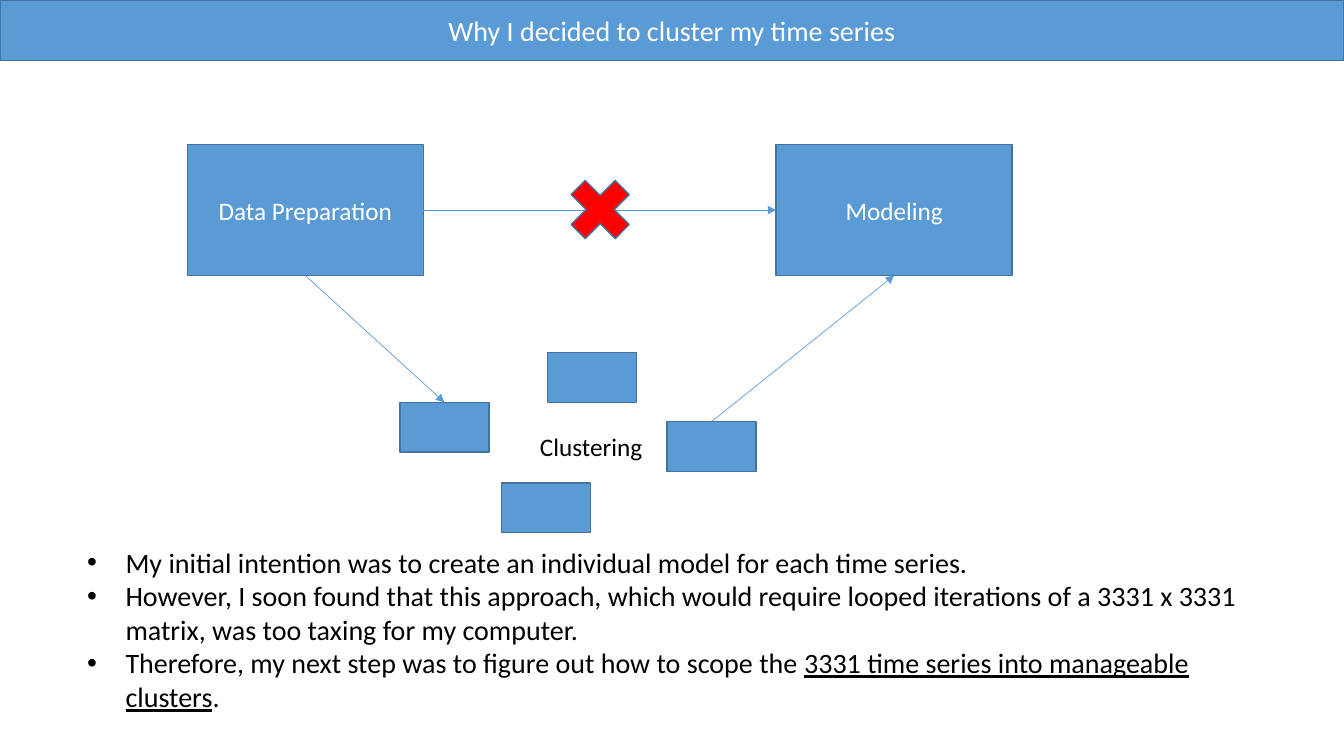
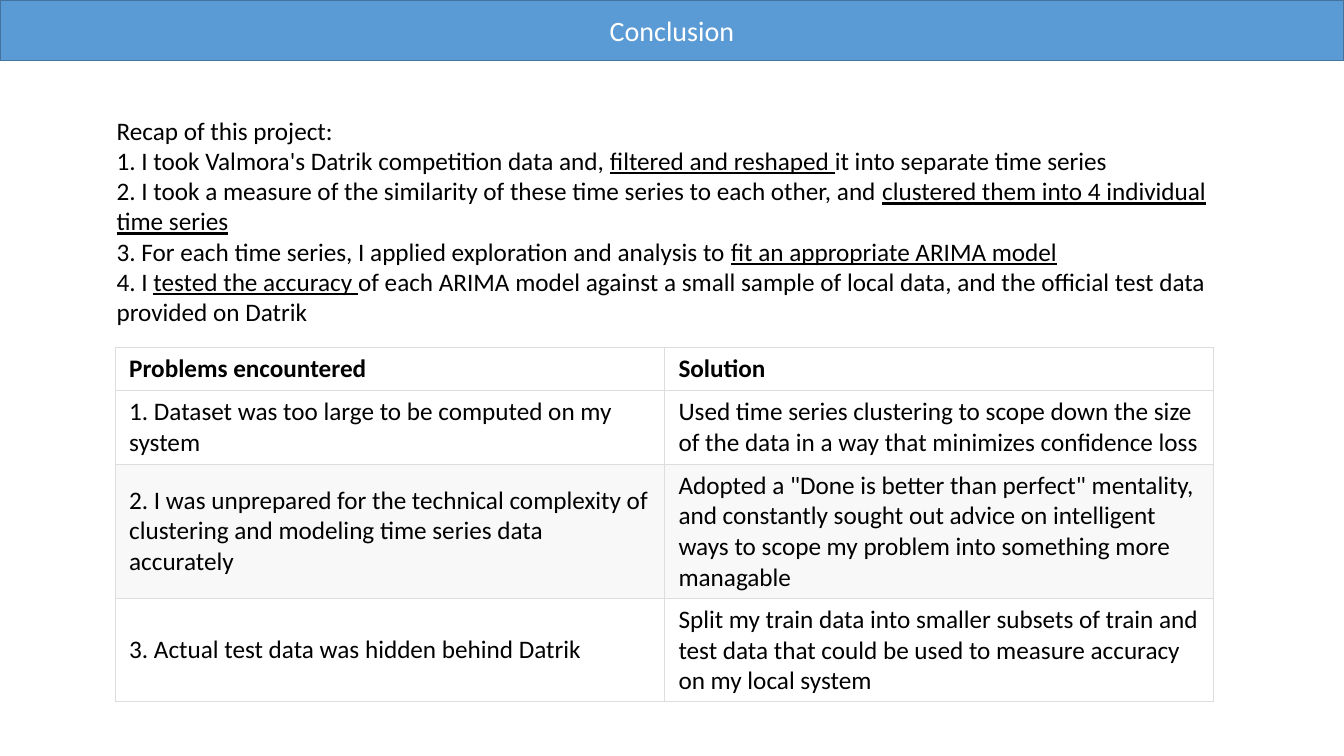
from lxml.etree import SubElement
from pptx import Presentation
from pptx.dml.color import RGBColor
from pptx.enum.shapes import MSO_CONNECTOR, MSO_SHAPE
from pptx.enum.text import MSO_ANCHOR, MSO_AUTO_SIZE, PP_ALIGN
from pptx.oxml.ns import qn
from pptx.util import Inches, Pt

BLUE = RGBColor(0x5B, 0x9B, 0xD5)
EDGE = RGBColor(0x43, 0x73, 0x9E)
RED = RGBColor(0xFF, 0x00, 0x00)
WHITE = RGBColor(0xFF, 0xFF, 0xFF)
BLACK = RGBColor(0x00, 0x00, 0x00)
STRIPE = RGBColor(0xF8, 0xF8, 0xF8)
RULE = RGBColor(0xDD, 0xDD, 0xDD)

COLS, ROWS = 160, 90
TOP, LEFT, BOTTOM, RIGHT = range(4)


def apply(target, values):
    for name, value in values.items():
        setattr(target, name, value)


class Deck:
    font = "Calibri"
    banner_rows = 7.2
    centred = {"alignment": PP_ALIGN.CENTER, "line_spacing": 1.0, "space_before": Pt(0)}
    cell_format = {
        "vertical_anchor": MSO_ANCHOR.MIDDLE,
        "margin_left": Inches(0.14), "margin_right": Inches(0.14),
        "margin_top": Inches(0.06), "margin_bottom": Inches(0.06),
    }

    def __init__(self):
        self.prs = Presentation()
        apply(self.prs, {"slide_width": Inches(13.33), "slide_height": Inches(7.5)})
        self.s = None

    def x(self, cols):
        return round(self.prs.slide_width * cols / COLS)

    def y(self, rows):
        return round(self.prs.slide_height * rows / ROWS)

    def box(self, left, top, width, height):
        return self.x(left), self.y(top), self.x(width), self.y(height)

    def paint(self, sp, fill):
        sp.fill.solid()
        sp.fill.fore_color.rgb = fill
        sp.line.color.rgb = EDGE
        sp.line.width = Pt(1)

    def fill_text(self, tf, lines, size, color, bold=False, para=None, bullet=False):
        for i, line in enumerate(lines):
            p = tf.add_paragraph() if i else tf.paragraphs[0]
            apply(p, para or {})
            if bullet:
                self.bullet(p)
            for j, part in enumerate(line.split("_")):
                if not part:
                    continue
                r = p.add_run()
                r.text = part
                apply(r.font, {"name": self.font, "size": Pt(size),
                               "bold": bold, "underline": j % 2 == 1})
                r.font.color.rgb = color

    def bullet(self, p):
        pPr = p._p.get_or_add_pPr()
        indent = Inches(0.38)
        pPr.set("marL", str(indent))
        pPr.set("indent", str(-indent))
        SubElement(pPr, qn("a:buFont")).set("typeface", "Arial")
        SubElement(pPr, qn("a:buChar")).set("char", "•")

    def slide(self, title):
        self.s = self.prs.slides.add_slide(self.prs.slide_layouts[5])
        sp = self.s.shapes.title
        left, top, width, height = self.box(0, 0, COLS, self.banner_rows)
        apply(sp, {"left": left, "top": top, "width": width, "height": height})
        self.paint(sp, BLUE)
        apply(sp.text_frame, {"vertical_anchor": MSO_ANCHOR.MIDDLE,
                              "auto_size": MSO_AUTO_SIZE.NONE})
        self.fill_text(sp.text_frame, [title], 20, WHITE, para=self.centred)

    def shape(self, place, label="", kind=MSO_SHAPE.RECTANGLE, fill=BLUE):
        sp = self.s.shapes.add_shape(kind, *self.box(*place))
        sp.shadow.inherit = False
        self.paint(sp, fill)
        if label:
            sp.text_frame.vertical_anchor = MSO_ANCHOR.MIDDLE
            self.fill_text(sp.text_frame, [label], 18, WHITE, para=self.centred)
        return sp

    def text(self, place, lines, size=18, wrap=True, bullet=False):
        tf = self.s.shapes.add_textbox(*self.box(*place)).text_frame
        apply(tf, {"word_wrap": wrap, "auto_size": MSO_AUTO_SIZE.SHAPE_TO_FIT_TEXT})
        self.fill_text(tf, lines, size, BLACK, bullet=bullet)

    def arrow(self, start, start_site, end, end_site):
        cx = self.s.shapes.add_connector(MSO_CONNECTOR.STRAIGHT, 0, 0, 0, 0)
        cx.begin_connect(start, start_site)
        cx.end_connect(end, end_site)
        cx.line.color.rgb = BLUE
        cx.line.width = Pt(0.5)
        SubElement(cx.get_or_add_ln(), qn("a:tailEnd")).set("type", "triangle")
        SubElement(cx._element.spPr, qn("a:effectLst"))

    def borders(self, cell):
        tcPr = cell._tc.get_or_add_tcPr()
        for i, side in enumerate(("lnL", "lnR", "lnT", "lnB")):
            ln = tcPr.makeelement(qn(f"a:{side}"), {"w": str(Pt(0.75))})
            fill = SubElement(ln, qn("a:solidFill"))
            SubElement(fill, qn("a:srgbClr")).set("val", str(RULE))
            tcPr.insert(i, ln)

    def table(self, left, top, width, heights, rows):
        frame = self.s.shapes.add_table(len(rows), len(rows[0]),
                                        *self.box(left, top, width, sum(heights)))
        table = frame.table
        apply(table, {"first_row": False, "horz_banding": False})
        for i, (height, row) in enumerate(zip(heights, rows)):
            table.rows[i].height = self.y(height)
            for j, label in enumerate(row):
                cell = table.cell(i, j)
                apply(cell, self.cell_format)
                cell.fill.solid()
                cell.fill.fore_color.rgb = STRIPE if i and i % 2 == 0 else WHITE
                self.borders(cell)
                self.fill_text(cell.text_frame, [label], 18, BLACK, bold=i == 0)


def clustering_slide(deck):
    deck.slide("Why I decided to cluster my time series")
    deck.text((9.2, 64.3, 144.7, 21.4), [
        "My initial intention was to create an individual model for each time series.",
        "However, I soon found that this approach, which would require looped iterations "
        "of a 3331 x 3331 matrix, was too taxing for my computer.",
        "Therefore, my next step was to figure out how to scope the "
        "_3331 time series into manageable clusters_.",
    ], size=20, bullet=True)
    preparation, modeling = [
        deck.shape((left, 17.2, 28.1, 15.6), label)
        for left, label in ((22.3, "Data Preparation"), (92.4, "Modeling"))]
    first, _, _, last = [
        deck.shape((left, top, 10.6, 5.9))
        for left, top in ((47.6, 47.9), (59.7, 57.5), (65.2, 42), (79.4, 50.2))]
    deck.text((63.1, 50.8, 14.8, 4.8), ["Clustering"], wrap=False)
    deck.arrow(preparation, RIGHT, modeling, LEFT)
    deck.arrow(preparation, BOTTOM, first, TOP)
    deck.arrow(last, TOP, modeling, BOTTOM)
    deck.shape((66.4, 19.9, 10.1, 10.1), kind=MSO_SHAPE.MATH_MULTIPLY, fill=RED)


def conclusion_slide(deck):
    deck.slide("Conclusion")
    deck.text((12.7, 13.1, 134.6, 30.2), [
        "Recap of this project:",
        "1. I took Valmora's Datrik competition data and, "
        "_filtered and reshaped _it into separate time series",
        "2. I took a measure of the similarity of these time series to each other, and "
        "_clustered them into 4 individual time series_",
        "3. For each time series, I applied exploration and analysis to "
        "_fit an appropriate ARIMA model_",
        "4. I _tested the accuracy _of each ARIMA model against a small sample of "
        "local data, and the official test data provided on Datrik",
    ])
    deck.table(13.7, 41.4, 130.8, (5, 8.8, 16, 12.3), [
        ("Problems encountered", "Solution"),
        ("1. Dataset was too large to be computed on my system",
         "Used time series clustering to scope down the size of the data in a way "
         "that minimizes confidence loss"),
        ("2. I was unprepared for the technical complexity of clustering and modeling "
         "time series data accurately",
         "Adopted a \"Done is better than perfect\" mentality, and constantly sought out "
         "advice on intelligent ways to scope my problem into something more managable"),
        ("3. Actual test data was hidden behind Datrik",
         "Split my train data into smaller subsets of train and test data that could "
         "be used to measure accuracy on my local system"),
    ])


def main():
    deck = Deck()
    clustering_slide(deck)
    conclusion_slide(deck)
    deck.prs.save("out.pptx")


if __name__ == "__main__":
    main()
